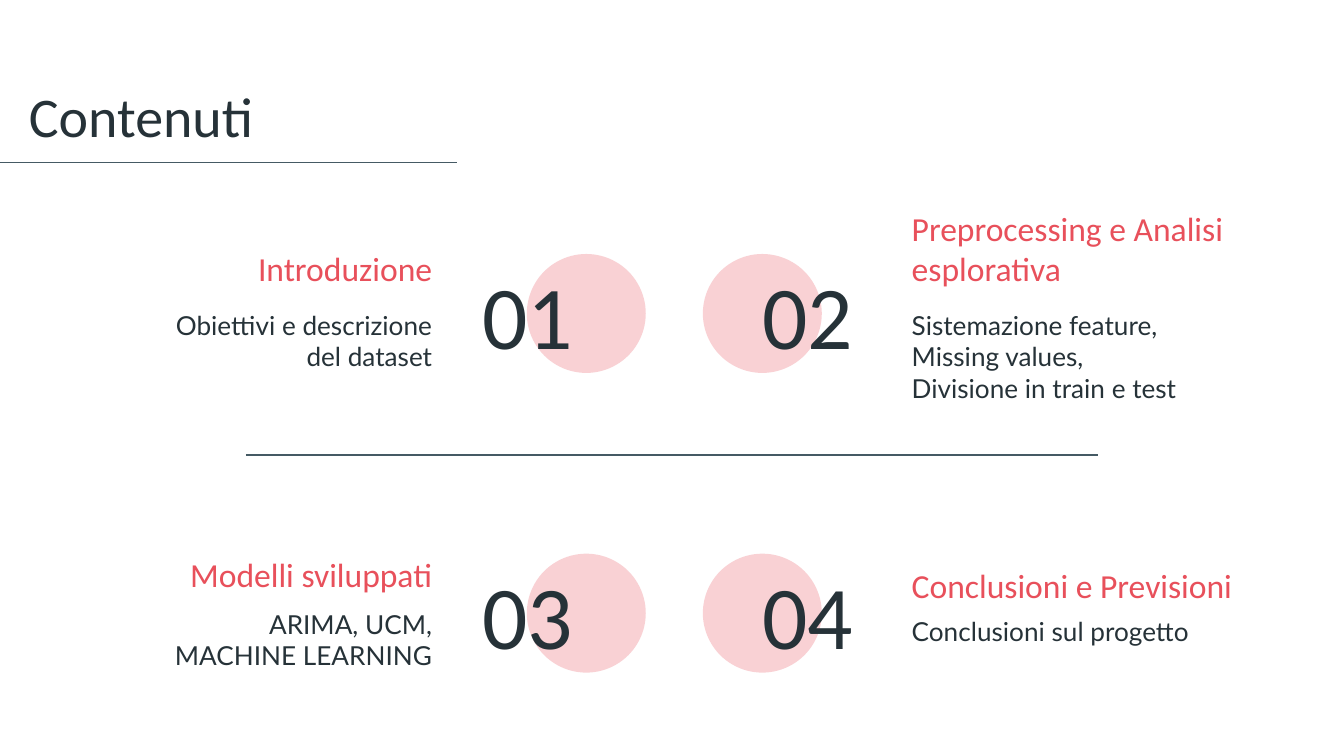
from pptx import Presentation
from pptx.dml.color import RGBColor
from pptx.enum.shapes import MSO_CONNECTOR as CONN, MSO_SHAPE as SHAPE
from pptx.enum.text import MSO_ANCHOR as ANCHOR, MSO_AUTO_SIZE as AUTO, PP_ALIGN as ALIGN
from pptx.oxml.ns import qn
from pptx.util import Pt
from lxml.etree import SubElement

PX = 4572
DARK = RGBColor(0x26, 0x32, 0x38)
RED = RGBColor(0xE8, 0x50, 0x5B)
SLATE = RGBColor(0x45, 0x5A, 0x64)
INSET = 20

NUMBER = {"size": Pt(48), "name": "Calibri", "color": DARK}
HEADING = {"size": Pt(18), "name": "Calibri", "color": RED}
DETAIL = {"size": Pt(14), "name": "Lato", "color": DARK}
TITLE = {"size": Pt(30), "name": "Calibri", "color": DARK}

ITEMS = [
    ("01", "Introduzione", (-17, 88), "Obiettivi e descrizione del dataset", (62, 152)),
    ("02", "Preprocessing e Analisi esplorativa", (-67, 138),
     "Sistemazione feature, Missing values, Divisione in train e test", (62, 176)),
    ("03", "Modelli sviluppati", (-7, 88), "ARIMA, UCM, MACHINE LEARNING", (61, 110)),
    ("04", "Conclusioni e Previsioni", (-54, 150), "Conclusioni sul progetto", (72, 110)),
]


def px(*lengths):
    return [n * PX for n in lengths]


def write(sp, text, fmt, align, anchor):
    tf = sp.text_frame
    frame = dict.fromkeys(("margin_left", "margin_top", "margin_right", "margin_bottom"), INSET * PX)
    frame.update(word_wrap=True, auto_size=AUTO.NONE, vertical_anchor=anchor)
    for key, value in frame.items():
        setattr(tf, key, value)
    p = tf.paragraphs[0]
    p.alignment = align
    r = p.add_run()
    r.text = text
    for key in ("size", "name"):
        setattr(r.font, key, fmt[key])
    r.font.color.rgb = fmt["color"]


def add_text(s, box, text, fmt, align, anchor):
    write(s.shapes.add_textbox(*px(*box)), text, fmt, align, anchor)


def add_rule(s, x1, x2, y):
    line = s.shapes.add_connector(CONN.STRAIGHT, *px(x1, y, x2, y))
    line.line.color.rgb = SLATE
    line.line.width = Pt(0.75)
    SubElement(line._element.spPr, qn("a:effectLst"))


def add_title(s, x, y, w, h):
    sp = s.shapes.title
    for key, value in zip(("left", "top", "width", "height"), px(x, y, w, h)):
        setattr(sp, key, value)
    write(sp, "Contenuti", TITLE, ALIGN.LEFT, ANCHOR.BOTTOM)
    add_rule(s, 0, 680, y + h)


def add_circle(s, x, y, d):
    sp = s.shapes.add_shape(SHAPE.OVAL, *px(x, y, d, d))
    sp.shadow.inherit = False
    sp.fill.solid()
    sp.fill.fore_color.rgb = RED
    sp.line.fill.background()
    color = sp._element.spPr.find(qn("a:solidFill"))[0]
    SubElement(color, qn("a:alpha"), val="26000")


def add_item(s, x, y, right, item):
    number, heading, (heading_y, heading_h), detail, (detail_y, detail_h) = item
    circle_x, number_x, text_x = (20, 0, 311) if right else (580, 494, 1)
    heading_w = 562 if right else 458
    number_align, text_align = (ALIGN.RIGHT, ALIGN.LEFT) if right else (ALIGN.LEFT, ALIGN.RIGHT)
    add_circle(s, x + circle_x, y, 177)
    add_text(s, (x + number_x, y + 7, 263, 164), number, NUMBER, number_align, ANCHOR.MIDDLE)
    add_text(s, (x + text_x, y + heading_y, heading_w, heading_h), heading, HEADING,
             text_align, ANCHOR.BOTTOM)
    add_text(s, (x + text_x, y + detail_y, 458, detail_h), detail, DETAIL,
             text_align, ANCHOR.TOP)


def main():
    prs = Presentation()
    prs.slide_width, prs.slide_height = px(2000, 1125)
    s = prs.slides.add_slide(prs.slide_layouts[5])
    add_title(s, 23, 76, 822, 166)
    for i, item in enumerate(ITEMS):
        row, col = divmod(i, 2)
        add_item(s, 204 + 822 * col, 378 + 446 * row, col == 1, item)
    add_rule(s, 366, 1634, 677)
    prs.save("out.pptx")


if __name__ == "__main__":
    main()
